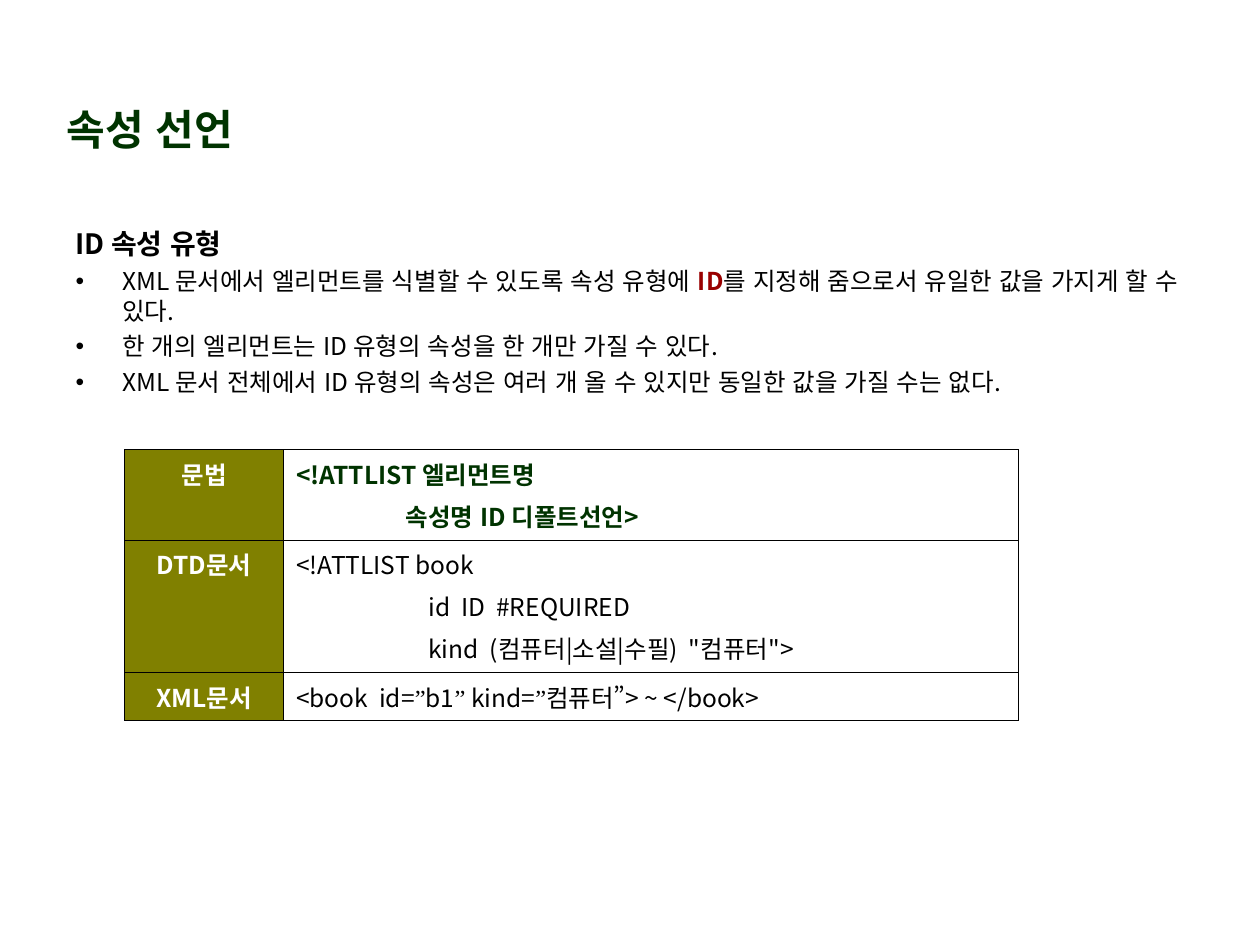
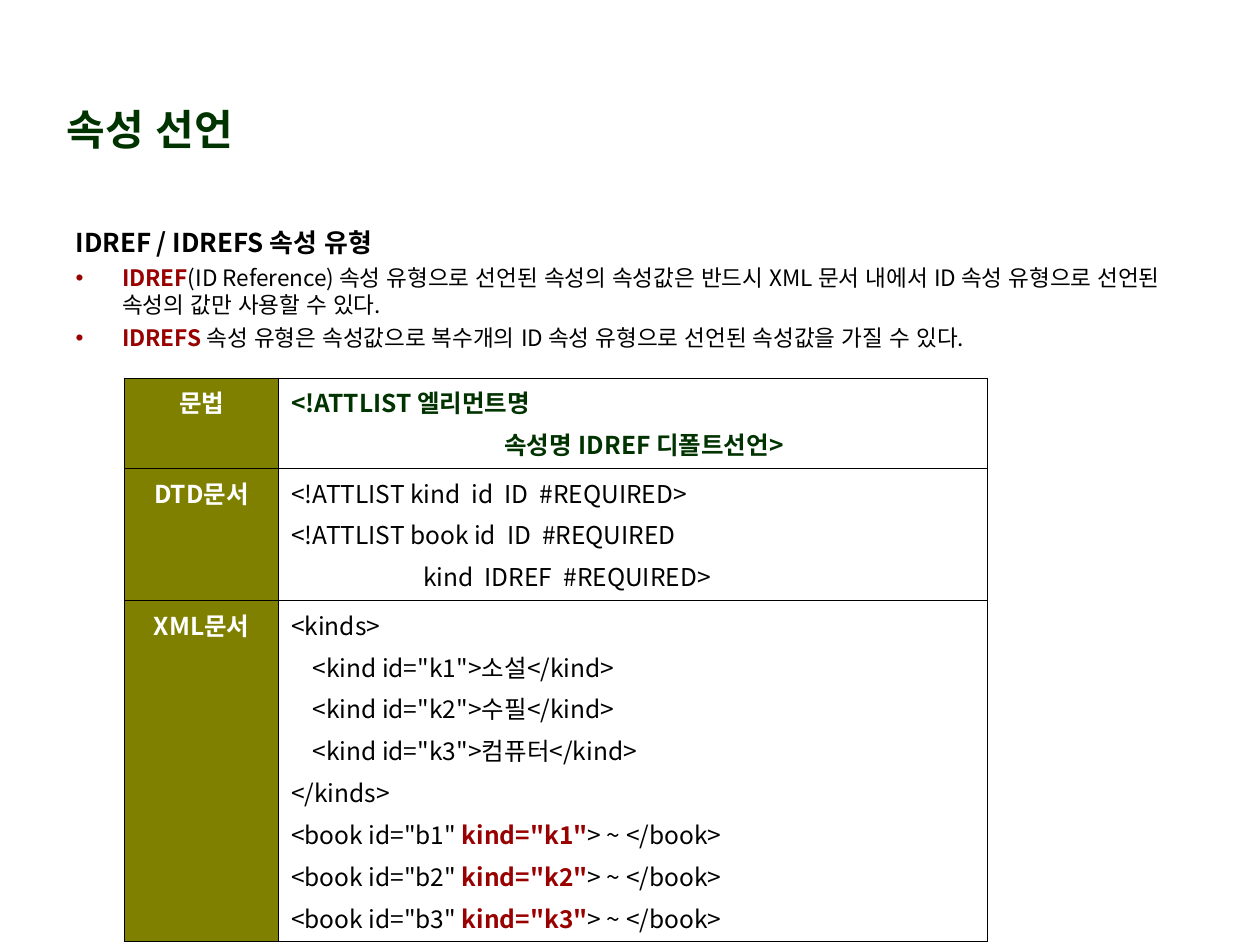
"""Build two slides on ID and IDREF attribute declarations in XML."""
from lxml.etree import SubElement
from pptx import Presentation
from pptx.dml.color import RGBColor
from pptx.enum.lang import MSO_LANGUAGE_ID
from pptx.enum.text import MSO_ANCHOR, MSO_AUTO_SIZE, PP_ALIGN
from pptx.oxml.ns import qn
from pptx.util import Inches, Pt

BLACK = RGBColor(0x00, 0x00, 0x00)
WHITE = RGBColor(0xFF, 0xFF, 0xFF)
GREEN = RGBColor(0x00, 0x33, 0x00)
RED = RGBColor(0x99, 0x00, 0x00)
OLIVE = RGBColor(0x80, 0x80, 0x00)
FONT = "Noto Sans CJK KR"
QUOTE_FONT = "Times New Roman"
TITLE = "속성 선언"
ROW_LABELS = ("문법", "DTD문서", "XML문서")
CODE_INDENT = 1.05
HANG = 0.37


def plain(text):
    """Describe a regular black run."""
    return text, BLACK, False, FONT


def key(text):
    """Describe a highlighted run."""
    return text, RED, True, FONT


def syntax(text):
    """Describe a run of grammar."""
    return text, GREEN, True, FONT


def quote():
    """Describe a curly quotation mark."""
    return "”", BLACK, False, QUOTE_FONT


def add_runs(p, runs, size):
    """Add the described runs to a paragraph, without kerning."""
    for text, color, bold, font in runs:
        r = p.add_run()
        r.text = text
        r.font.size = Pt(size)
        r.font.bold = bold
        r.font.color.rgb = color
        r.font.name = font
        r.font.language_id = MSO_LANGUAGE_ID.KOREAN
        r.font._element.set("kern", "0")
        SubElement(r.font._element, qn("a:ea"), typeface=FONT)


def next_paragraph(tf, index):
    """Return the first paragraph or a new one."""
    return tf.paragraphs[0] if index == 0 else tf.add_paragraph()


def place(sp, left, top, width, height):
    """Move and size a shape, in inches."""
    sp.left, sp.top = Inches(left), Inches(top)
    sp.width, sp.height = Inches(width), Inches(height)


def set_bullet(p, color):
    """Give a paragraph a round bullet of one colour."""
    pPr = p._p.get_or_add_pPr()
    clr = SubElement(pPr, qn("a:buClr"))
    SubElement(clr, qn("a:srgbClr"), val=str(color))
    SubElement(pPr, qn("a:buFont"), typeface="Arial")
    SubElement(pPr, qn("a:buChar"), char="•")


def add_title(slide):
    """Fill the title placeholder."""
    sp = slide.shapes.title
    place(sp, 0.43, 0.75, 4.41, 0.55)
    tf = sp.text_frame
    tf.auto_size = MSO_AUTO_SIZE.NONE
    tf.vertical_anchor = MSO_ANCHOR.MIDDLE
    p = tf.paragraphs[0]
    p.alignment = PP_ALIGN.LEFT
    add_runs(p, [syntax(TITLE)], 24)


def add_body(slide, height, heading, items, sizes):
    """Fill the body placeholder with a heading and bullets."""
    sp = slide.placeholders[1]
    place(sp, 0.5, 1.75, 8.99, height)
    tf = sp.text_frame
    tf.auto_size = MSO_AUTO_SIZE.NONE
    heading_run = (heading, BLACK, True, FONT)
    for i, runs in enumerate([[heading_run], *items]):
        p = next_paragraph(tf, i)
        p.space_before = Pt(3.5 if i else 4)
        pPr = p._p.get_or_add_pPr()
        pPr.set("marL", str(Inches(HANG)))
        pPr.set("indent", str(-Inches(HANG)))
        if i:
            set_bullet(p, runs[0][1])
        else:
            SubElement(pPr, qn("a:buNone"))
        add_runs(p, runs, sizes[min(i, 1)])


def set_borders(cell):
    """Draw thin black lines around a cell."""
    tcPr = cell._tc.get_or_add_tcPr()
    for side in ("lnL", "lnR", "lnT", "lnB"):
        ln = SubElement(tcPr, qn(f"a:{side}"), w=str(Pt(0.45)))
        fill = SubElement(ln, qn("a:solidFill"))
        SubElement(fill, qn("a:srgbClr"), val=str(BLACK))


def fill_cell(cell, lines, color=None, align=PP_ALIGN.LEFT):
    """Write indented lines into a cell and style it."""
    set_borders(cell)
    if color is None:
        cell.fill.background()
    else:
        cell.fill.solid()
        cell.fill.fore_color.rgb = color
    for i, (indent, runs) in enumerate(lines):
        p = next_paragraph(cell.text_frame, i)
        p.alignment = align
        p.space_before = Pt(3.5)
        p._p.get_or_add_pPr().set("marL", str(Inches(indent)))
        add_runs(p, runs, 14)


def add_code_table(slide, top, widths, heights, code):
    """Add the table of syntax, DTD and XML code."""
    frame = slide.shapes.add_table(
        len(heights), 2, Inches(0.99), Inches(top),
        Inches(sum(widths)), Inches(sum(heights)))
    table = frame.table
    table.first_row = table.horz_banding = False
    for col, width in zip(table.columns, widths):
        col.width = Inches(width)
    for i, (label, lines) in enumerate(zip(ROW_LABELS, code)):
        table.rows[i].height = Inches(heights[i])
        label_run = (label, WHITE, True, FONT)
        fill_cell(table.cell(i, 0), [(0, [label_run])], OLIVE, PP_ALIGN.CENTER)
        fill_cell(table.cell(i, 1), lines)


def add_slide(prs):
    """Add a slide with the shared title."""
    slide = prs.slides.add_slide(prs.slide_layouts[1])
    add_title(slide)
    return slide


def add_id_slide(prs):
    """Add the slide on the ID type."""
    slide = add_slide(prs)
    items = [
        [plain("XML 문서에서 엘리먼트를 식별할 수 있도록 속성 유형에 "), key("ID"),
         plain("를 지정해 줌으로서 유일한 값을 가지게 할 수 있다.")],
        [plain("한 개의 엘리먼트는 ID 유형의 속성을 한 개만 가질 수 있다.")],
        [plain("XML 문서 전체에서 ID 유형의 속성은 여러 개 올 수 있지만 "
               "동일한 값을 가질 수는 없다.")],
    ]
    add_body(slide, 1.92, "ID 속성 유형", items, (16, 14))
    code = [
        [(0, [syntax("<!ATTLIST 엘리먼트명")]),
         (0.87, [syntax("속성명 ID 디폴트선언>")])],
        [(0, [plain("<!ATTLIST book")]),
         (CODE_INDENT, [plain("id  ID  #REQUIRED")]),
         (CODE_INDENT, [plain('kind  (컴퓨터|소설|수필)  "컴퓨터">')])],
        [(0, [plain("<book  id="), quote(), plain("b1"), quote(),
              plain(" kind="), quote(), plain("컴퓨터"), quote(),
              plain("> ~ </book>")])],
    ]
    add_code_table(slide, 3.57, (1.26, 5.83), (0.71, 1.05, 0.38), code)


def add_idref_slide(prs):
    """Add the slide on the IDREF and IDREFS types."""
    slide = add_slide(prs)
    items = [
        [key("IDREF"),
         plain("(ID Reference) 속성 유형으로 선언된 속성의 속성값은 반드시 "
               "XML 문서 내에서 ID 속성 유형으로 선언된 속성의 값만 사용할 수 있다.")],
        [key("IDREFS "),
         plain("속성 유형은 속성값으로 복수개의 ID 속성 유형으로 선언된 "
               "속성값을 가질 수 있다.")],
    ]
    add_body(slide, 1.13, "IDREF / IDREFS 속성 유형", items, (14.8, 12.9))
    kinds = [(0.17, [plain(f'<kind id="k{n}">{name}</kind>')])
             for n, name in enumerate(("소설", "수필", "컴퓨터"), 1)]
    books = [(0, [plain(f'<book id="b{n}" '), key(f'kind="k{n}"'),
                  plain("> ~ </book>")]) for n in range(1, 4)]
    code = [
        [(0, [syntax("<!ATTLIST 엘리먼트명")]),
         (1.69, [syntax("속성명 IDREF 디폴트선언>")])],
        [(0, [plain("<!ATTLIST kind  id  ID  #REQUIRED>")]),
         (0, [plain("<!ATTLIST book id  ID  #REQUIRED")]),
         (CODE_INDENT, [plain("kind  IDREF  #REQUIRED>")])],
        [(0, [plain("<kinds>")]), *kinds, (0, [plain("</kinds>")]), *books],
    ]
    add_code_table(slide, 3, (1.22, 5.63), (0.71, 1.05, 2.62), code)


def main():
    """Build and save the presentation."""
    prs = Presentation()
    prs.slide_width, prs.slide_height = Inches(10), Inches(7.5)
    add_id_slide(prs)
    add_idref_slide(prs)
    prs.save("out.pptx")


if __name__ == "__main__":
    main()
